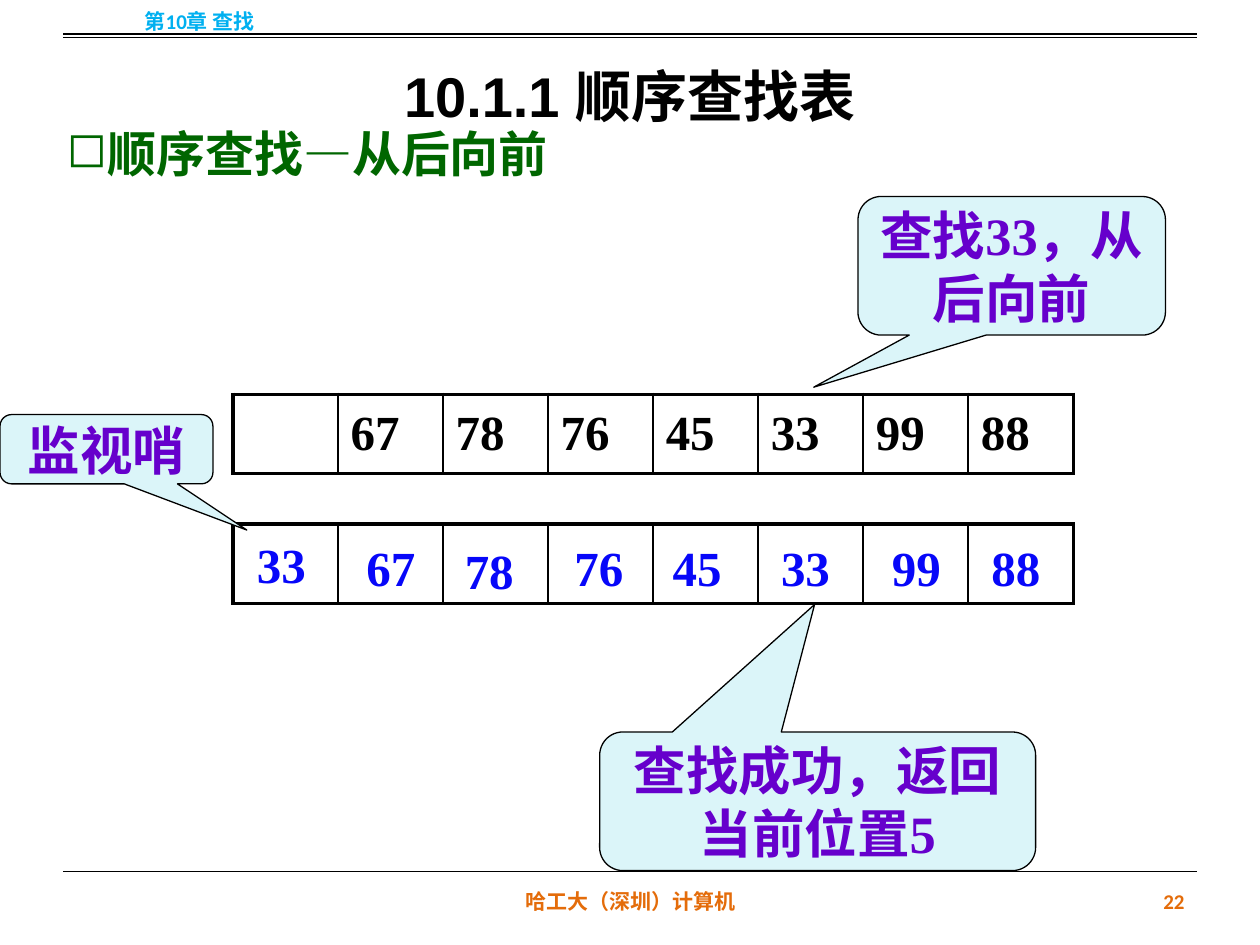
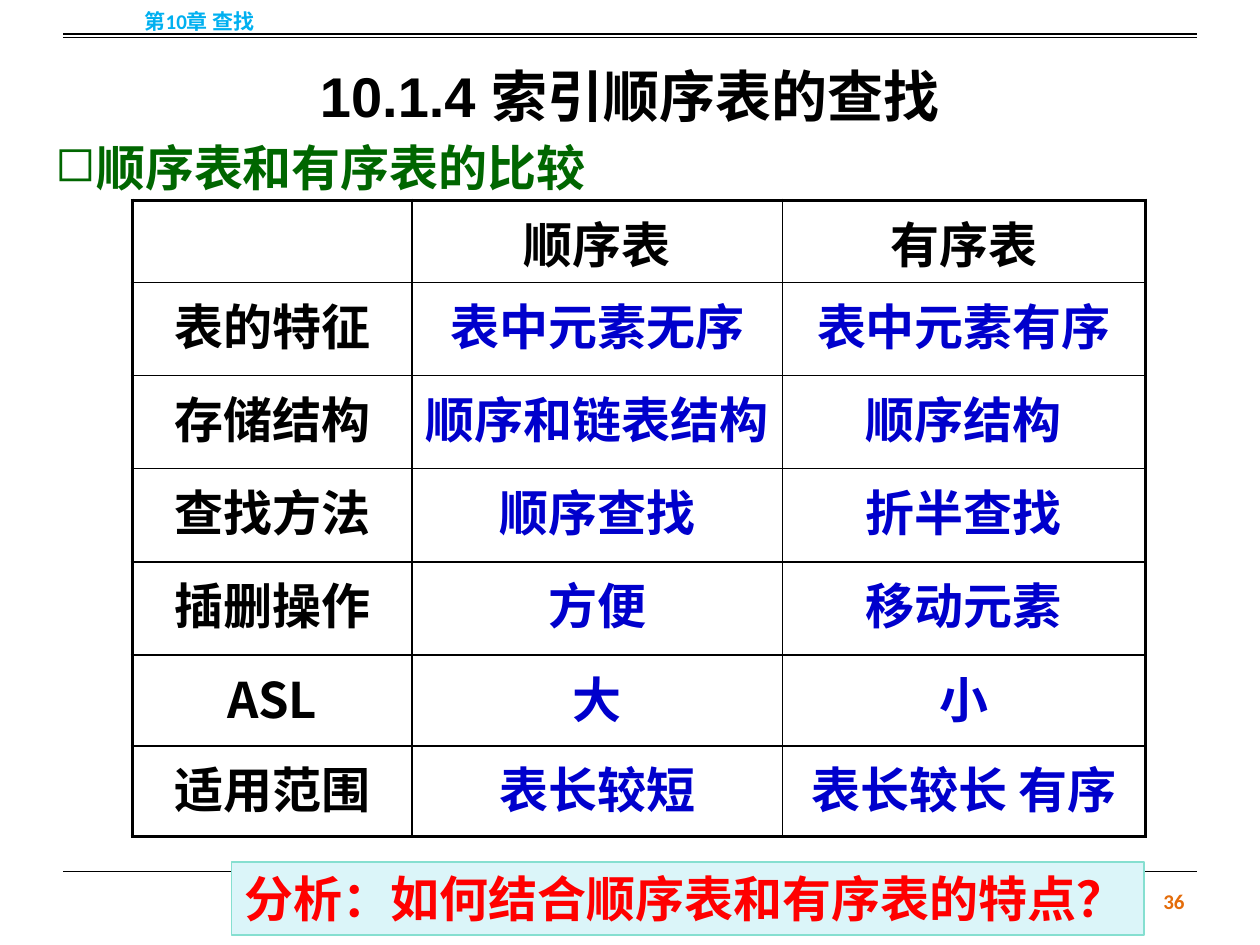
from dataclasses import dataclass
from typing import Optional

from lxml import etree
from pptx import Presentation
from pptx.dml.color import RGBColor
from pptx.enum import shapes, text
from pptx.oxml import ns
from pptx.slide import Slide
from pptx.util import Emu, Inches, Pt

# Grid: 100 columns by 75 rows of square units
COLS, ROWS = 100, 75
WIDE, HIGH = Inches(10), Inches(7.5)

HUES = {
    "ink": "000000",
    "foot": "E46C0A",
    "head": "00B0F0",
    "point": "006600",
    "call": "6600CC",
    "pale": "DBF5F9",
    "edge": "85DFD0",
    "blue": "0707F9",
    "navy": "0000CC",
    "red": "FF0000",
}
TIMES, SANS, HAN = "Times New Roman", "Calibri", "Noto Sans CJK SC"
LEFT, MID, RIGHT = text.PP_ALIGN.LEFT, text.PP_ALIGN.CENTER, text.PP_ALIGN.RIGHT
THICK, THIN = 2.25, 1


@dataclass(frozen=True)
class Box:
    x: float
    y: float
    w: float
    h: float

    def place(self) -> tuple:
        return col(self.x), row(self.y), col(self.w), row(self.h)


@dataclass(frozen=True)
class Style:
    size: float
    hue: str
    font: str = TIMES
    align: text.PP_ALIGN = LEFT
    centred: bool = False


@dataclass(frozen=True)
class Call:
    words: str
    box: Box
    tip: tuple[float, float]


TITLE = Style(32, "ink", "Arial", MID, True)
FOOT = Style(12, "foot", SANS, MID, True)
PAGE = Style(12, "foot", SANS, RIGHT, True)
HEAD = Style(12, "head", SANS, MID, True)
POINT = Style(28, "point")
CALL = Style(30, "call", align=MID, centred=True)
NOTE = Style(28, "red")
LABEL = Style(28, "blue")
KEY = Style(28, "ink", centred=True)
NAME = Style(28, "ink", HAN, MID)
FACT = Style(28, "navy", HAN, MID)


def col(n: float) -> Emu:
    return Emu(round(WIDE * n / COLS))


def row(n: float) -> Emu:
    return Emu(round(HIGH * n / ROWS))


def tint(hue: str) -> RGBColor:
    return RGBColor.from_string(HUES[hue])


# Text
def write(frame, words: str, style: Style) -> None:
    frame.text = words
    para = frame.paragraphs[0]
    para.alignment = style.align
    for run in para.runs:
        run.font.size, run.font.bold = Pt(style.size), True
        run.font.name, run.font.color.rgb = style.font, tint(style.hue)
        etree.SubElement(run.font._element, ns.qn("a:ea"), typeface=HAN)


def fill(shape, words: str, style: Style) -> None:
    frame = shape.text_frame
    frame.word_wrap = True
    anchor = text.MSO_ANCHOR
    frame.vertical_anchor = anchor.MIDDLE if style.centred else anchor.TOP
    write(frame, words, style)


def label(slide: Slide, words: str, box: Box, style: Style):
    shape = slide.shapes.add_textbox(*box.place())
    fill(shape, words, style)
    return shape


def point(slide: Slide, words: str, box: Box) -> None:
    para = label(slide, words, box, POINT).text_frame.paragraphs[0]
    props = para._p.get_or_add_pPr()
    props.set("marL", str(col(3.25)))
    props.set("indent", str(-col(3.25)))
    etree.SubElement(props, ns.qn("a:buChar"), char="◻")


# Shapes
def panel(slide: Slide, kind, words: str, box: Box, style: Style, edge: str):
    shape = slide.shapes.add_shape(kind, *box.place())
    shape.shadow.inherit = False
    shape.fill.solid()
    shape.fill.fore_color.rgb = tint("pale")
    shape.line.color.rgb, shape.line.width = tint(edge), Pt(0.75)
    fill(shape, words, style)
    return shape


def bubble(slide: Slide, call: Call) -> None:
    kind = shapes.MSO_SHAPE.ROUNDED_RECTANGULAR_CALLOUT
    shape = panel(slide, kind, call.words, call.box, CALL, "ink")
    for i, value in enumerate((*call.tip, 0.167)):
        shape.adjustments[i] = value


def rule(slide: Slide, y: float) -> None:
    line = slide.shapes.add_connector(
        shapes.MSO_CONNECTOR.STRAIGHT, col(5), row(y), col(95), row(y))
    line.line.color.rgb, line.line.width = tint("ink"), Pt(0.75)
    etree.SubElement(line._element.spPr, ns.qn("a:effectLst"))


# Tables: thick frame, thin lines inside
def edges(cell, sides: dict[str, float]) -> None:
    props = cell._tc.get_or_add_tcPr()
    for i, (side, width) in enumerate(sides.items()):
        line = etree.Element(ns.qn(f"a:ln{side}"), w=str(Pt(width)))
        solid = etree.SubElement(line, ns.qn("a:solidFill"))
        etree.SubElement(solid, ns.qn("a:srgbClr"), val=HUES["ink"])
        props.insert(i, line)


def grid(slide: Slide, x: float, y: float, wides: list[float],
         highs: list[float], data: list[list[str]], key: Style,
         fact: Optional[Style] = None) -> None:
    box = Box(x, y, sum(wides), sum(highs))
    table = slide.shapes.add_table(len(highs), len(wides), *box.place()).table
    table.first_row = table.horz_banding = False
    for part, wide in zip(table.columns, wides):
        part.width = col(wide)
    for part, high in zip(table.rows, highs):
        part.height = row(high)
    for r, line in enumerate(data):
        for c, words in enumerate(line):
            cell = table.cell(r, c)
            style = fact if fact and r and c else key
            cell.fill.background()
            if style.centred:
                cell.vertical_anchor = text.MSO_ANCHOR.MIDDLE
            if words:
                write(cell.text_frame, words, style)
            outer = {"L": c == 0, "R": c == len(wides) - 1,
                     "T": r == 0, "B": r == len(highs) - 1}
            edges(cell, {k: THICK if on else THIN for k, on in outer.items()})


# Shared frame of each slide
def start(deck, title: str, page: str, foot: str = "") -> Slide:
    slide = deck.slides.add_slide(deck.slide_layouts[6])
    for y in (3, 2.7, 69.15):
        rule(slide, y)
    label(slide, "第10章 查找", Box(0, -0.3, 31.7, 4), HEAD)
    shape = label(slide, title, Box(5, 0, 90, 12.5), TITLE)
    shape.text_frame.paragraphs[0].line_spacing = 1.5
    if foot:
        label(slide, foot, Box(34.2, 69.5, 31.7, 4), FOOT)
    label(slide, page, Box(71.7, 69.5, 23.3, 4), PAGE)
    return slide


# Search from back to front
def search(deck) -> None:
    slide = start(deck, "10.1.1 顺序查找表", "22", "哈工大（深圳）计算机")
    keys = ["67", "78", "76", "45", "33", "99", "88"]
    wides = [66.7 / 8] * 8
    grid(slide, 18.5, 31.3, wides, [6.3], [["", *keys]], KEY)
    bubble(slide, Call("查找33，从后向前", Box(68.1, 15.6, 24.4, 11),
                       (-0.644, 0.876)))
    grid(slide, 18.5, 41.6, wides, [6.3], [[""] * 8], KEY)
    spots = [(19.4, 41.9), (28.1, 42.2), (35.9, 42.4), (44.6, 42.2),
             (52.4, 42.2), (61, 42.2), (69.8, 42.2), (77.7, 42.2)]
    for words, (x, y) in zip(["33", *keys], spots):
        label(slide, words, Box(x, y, 6.2, 5.7), LABEL)
    bubble(slide, Call("查找成功，返回当前位置5", Box(47.6, 58.1, 34.6, 11),
                       (-0.007, -1.42)))
    bubble(slide, Call("监视哨", Box(0, 32.9, 16.9, 5.5), (0.659, 1.167)))
    point(slide, "顺序查找—从后向前", Box(4.3, 9.3, 49.6, 5.7))


# Compare both kinds of list
def compare(deck) -> None:
    slide = start(deck, "10.1.4 索引顺序表的查找", "36")
    point(slide, "顺序表和有序表的比较", Box(3.4, 10.4, 54.3, 5.7))
    data = [
        ["", "顺序表", "有序表"],
        ["表的特征", "表中元素无序", "表中元素有序"],
        ["存储结构", "顺序和链表结构", "顺序结构"],
        ["查找方法", "顺序查找", "折半查找"],
        ["插删操作", "方便", "移动元素"],
        ["ASL", "大", "小"],
        ["适用范围", "表长较短", "表长较长 有序"],
    ]
    highs = [6.5] + [7.4] * 4 + [7.2] * 2
    grid(slide, 10.5, 15.9, [22.2, 29.4, 28.8], highs, data, NAME, FACT)
    panel(slide, shapes.MSO_SHAPE.RECTANGLE,
          "分析：如何结合顺序表和有序表的特点？",
          Box(18.4, 68.4, 72.4, 5.8), NOTE, "edge")


def main() -> None:
    deck = Presentation()
    deck.slide_width, deck.slide_height = WIDE, HIGH
    search(deck)
    compare(deck)
    deck.save("out.pptx")


if __name__ == "__main__":
    main()
